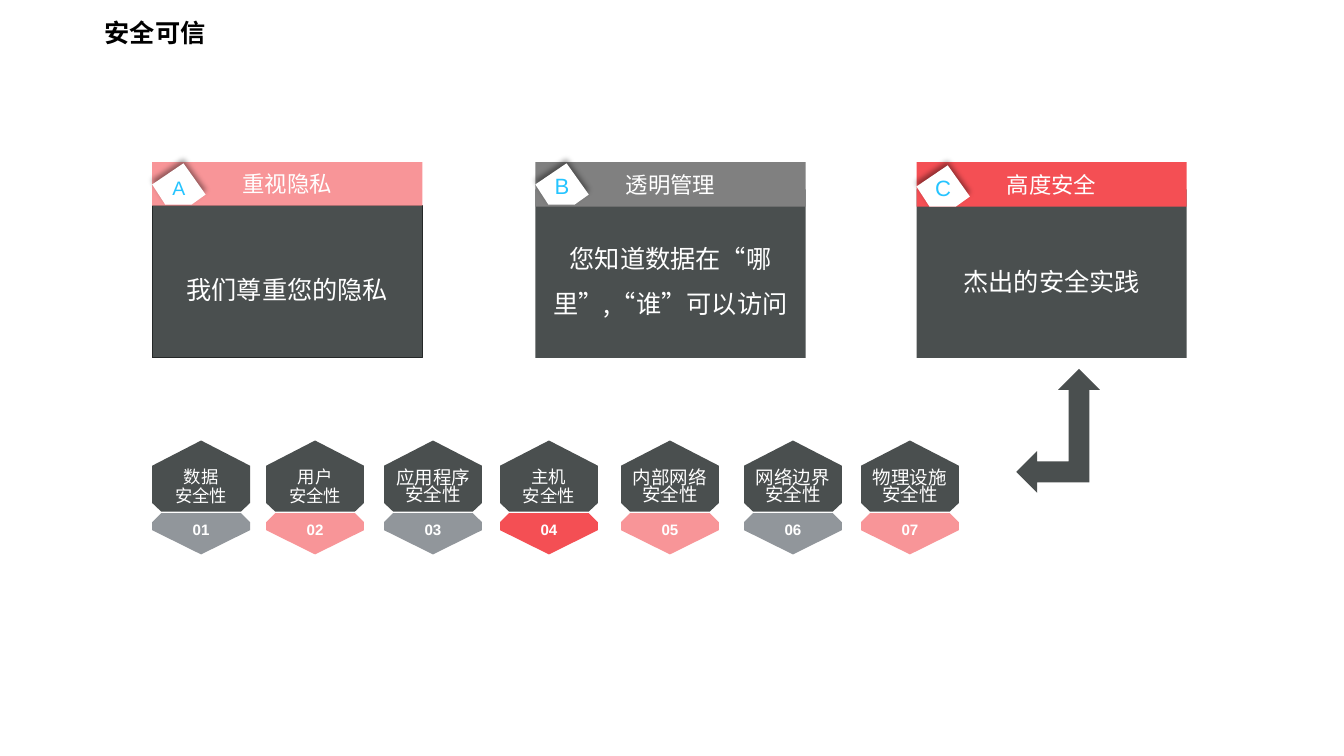
from dataclasses import dataclass

from lxml import etree
from pptx import Presentation
from pptx.dml.color import RGBColor
from pptx.enum.shapes import MSO_SHAPE
from pptx.enum.text import MSO_ANCHOR, PP_ALIGN
from pptx.oxml import parse_xml
from pptx.oxml.ns import qn
from pptx.util import Inches, Pt

RECTANGLE = MSO_SHAPE.RECTANGLE
LEFT_UP_ARROW = MSO_SHAPE.LEFT_UP_ARROW
MIDDLE = MSO_ANCHOR.MIDDLE
LEFT = PP_ALIGN.LEFT
CENTER = PP_ALIGN.CENTER

CHINESE = "Noto Sans CJK SC"
LATIN = "Arial"
COLORS = {
    "black": "000000",
    "white": "FFFFFF",
    "slate": "4A4F4F",
    "outline": "252828",
    "gray": "808080",
    "steel": "91969B",
    "pink": "F89598",
    "red": "F44F54",
    "cyan": "25C4FF",
}

CARD_WIDTH = 2.68
CARD_TOP = 1.61
CARD_BOTTOM = 3.55
BADGE_POINTS = [(0.31, 0), (0.53, 0.31), (0.39, 0.41), (0.13, 0.41), (0, 0.21)]

HEXAGON_TOP = 4.37
HEXAGON_POINTS = [(0.485, 0), (0, 0.25), (0, 0.62), (0.09, 0.705),
                  (0.88, 0.705), (0.97, 0.62), (0.97, 0.25)]
NUMBER_TOP = 5.09
NUMBER_POINTS = [(0.88, 0), (0.09, 0), (0, 0.09), (0, 0.17),
                 (0.485, 0.41), (0.97, 0.17), (0.97, 0.09)]

SHADOW_XML = (
    '<a:effectLst xmlns:a="http://schemas.openxmlformats.org/drawingml/2006/main">'
    '<a:outerShdw blurRad="50800" dist="38100" dir="16200000" rotWithShape="0">'
    '<a:srgbClr val="000000"><a:alpha val="40000"/></a:srgbClr>'
    '</a:outerShdw></a:effectLst>'
)


@dataclass
class TextStyle:
    size: float
    font: str = CHINESE
    color: str = "white"
    bold: bool = False
    spacing: float = 1.0
    align: PP_ALIGN = CENTER
    top_inset: float = 0.05
    bottom_inset: float = 0.05


@dataclass
class Card:
    letter: str
    left: float
    title: str
    message: str
    color: str
    header_height: float
    body_top: float
    badge_top: float
    badge_style: TextStyle
    outlined: bool = False


@dataclass
class Layer:
    left: float
    name: str
    color: str


TITLE = TextStyle(18, color="black", bold=True, spacing=1.3, align=LEFT)
HEADER = TextStyle(16)
MESSAGE = TextStyle(18, spacing=1.5)
BADGE = TextStyle(15.8, LATIN, "cyan", spacing=0.9, top_inset=0.12)
SMALL_BADGE = TextStyle(13.9, LATIN, "cyan", top_inset=0.12)
SHORT_NAME = TextStyle(12.4, spacing=0.9, top_inset=0.28)
LONG_NAME = TextStyle(13.2, spacing=0.8, top_inset=0.28)
NUMBER = TextStyle(10.8, LATIN, bold=True, spacing=1.1, bottom_inset=0.16)

CARDS = [
    Card("B", 5.31, "透明管理", "您知道数据在“哪里”,“谁”可以访问", "gray",
         0.44, 1.88, 1.62, BADGE),
    Card("C", 9.09, "高度安全", "杰出的安全实践", "red", 0.44, 1.88, 1.64, BADGE),
    Card("A", 1.51, "重视隐私", "我们尊重您的隐私", "pink",
         0.43, 2.04, 1.62, SMALL_BADGE, outlined=True),
]
LAYERS = [
    Layer(1.51, "数据", "steel"),
    Layer(2.64, "用户", "pink"),
    Layer(3.81, "应用程序", "steel"),
    Layer(4.96, "主机", "red"),
    Layer(6.16, "内部网络", "pink"),
    Layer(7.38, "网络边界", "steel"),
    Layer(8.54, "物理设施", "pink"),
]


def rgb(name: str) -> RGBColor:
    return RGBColor.from_string(COLORS[name])


def write(shape, lines: list[str], style: TextStyle) -> None:
    frame = shape.text_frame
    frame_format = {
        "word_wrap": True,
        "margin_left": Inches(0.1),
        "margin_right": Inches(0.1),
        "margin_top": Inches(style.top_inset),
        "margin_bottom": Inches(style.bottom_inset),
    }
    for name, value in frame_format.items():
        setattr(frame, name, value)
    font_format = {"name": style.font, "size": Pt(style.size), "bold": style.bold}
    for index, line in enumerate(lines):
        paragraph = frame.add_paragraph() if index else frame.paragraphs[0]
        paragraph.alignment = style.align
        paragraph.line_spacing = style.spacing
        run = paragraph.add_run()
        run.text = line
        run.font.color.rgb = rgb(style.color)
        for name, value in font_format.items():
            setattr(run.font, name, value)
        east_asian = etree.SubElement(run.font._element, qn("a:ea"))
        east_asian.set("typeface", style.font)


def paint(shape, color: str) -> None:
    shape.shadow.inherit = False
    shape.fill.solid()
    shape.fill.fore_color.rgb = rgb(color)
    shape.line.fill.background()


def add_preset(slide, preset: MSO_SHAPE, left: float, top: float,
               width: float, height: float, color: str):
    shape = slide.shapes.add_shape(
        preset, Inches(left), Inches(top), Inches(width), Inches(height))
    paint(shape, color)
    return shape


def add_polygon(slide, left: float, top: float,
                points: list[tuple[float, float]], color: str):
    """Draw a closed outline whose points are relative to left and top."""
    start, *others = [(Inches(left + x), Inches(top + y)) for x, y in points]
    builder = slide.shapes.build_freeform(*start)
    builder.add_line_segments(others, close=True)
    shape = builder.convert_to_shape()
    paint(shape, color)
    shape.text_frame.vertical_anchor = MIDDLE
    return shape


def add_card(slide, card: Card) -> None:
    body = add_preset(slide, RECTANGLE, card.left, card.body_top, CARD_WIDTH,
                      CARD_BOTTOM - card.body_top, "slate")
    if card.outlined:
        body.line.color.rgb = rgb("outline")
        body.line.width = Pt(1)
    write(body, [card.message], MESSAGE)
    header = add_preset(slide, RECTANGLE, card.left, CARD_TOP, CARD_WIDTH,
                        card.header_height, card.color)
    write(header, [card.title], HEADER)
    badge = add_polygon(slide, card.left, card.badge_top, BADGE_POINTS, "white")
    properties = badge._element.spPr
    properties.replace(properties.find(qn("a:effectLst")), parse_xml(SHADOW_XML))
    write(badge, [card.letter], card.badge_style)


def add_layer(slide, number: int, layer: Layer) -> None:
    hexagon = add_polygon(slide, layer.left, HEXAGON_TOP, HEXAGON_POINTS, "slate")
    name_style = SHORT_NAME if len(layer.name) == 2 else LONG_NAME
    write(hexagon, [layer.name, "安全性"], name_style)
    tip = add_polygon(slide, layer.left, NUMBER_TOP, NUMBER_POINTS, layer.color)
    write(tip, [f"{number:02}"], NUMBER)


def main() -> None:
    presentation = Presentation()
    presentation.slide_width = Inches(13.33)
    presentation.slide_height = Inches(7.5)
    slide = presentation.slides.add_slide(presentation.slide_layouts[6])

    title = slide.shapes.add_textbox(
        Inches(0.94), Inches(0.03), Inches(3.56), Inches(0.49))
    write(title, ["安全可信"], TITLE)
    for card in CARDS:
        add_card(slide, card)
    for number, layer in enumerate(LAYERS, start=1):
        add_layer(slide, number, layer)
    add_preset(slide, LEFT_UP_ARROW, 10.08, 3.66, 0.83, 1.23, "slate")

    presentation.save("out.pptx")


if __name__ == "__main__":
    main()
